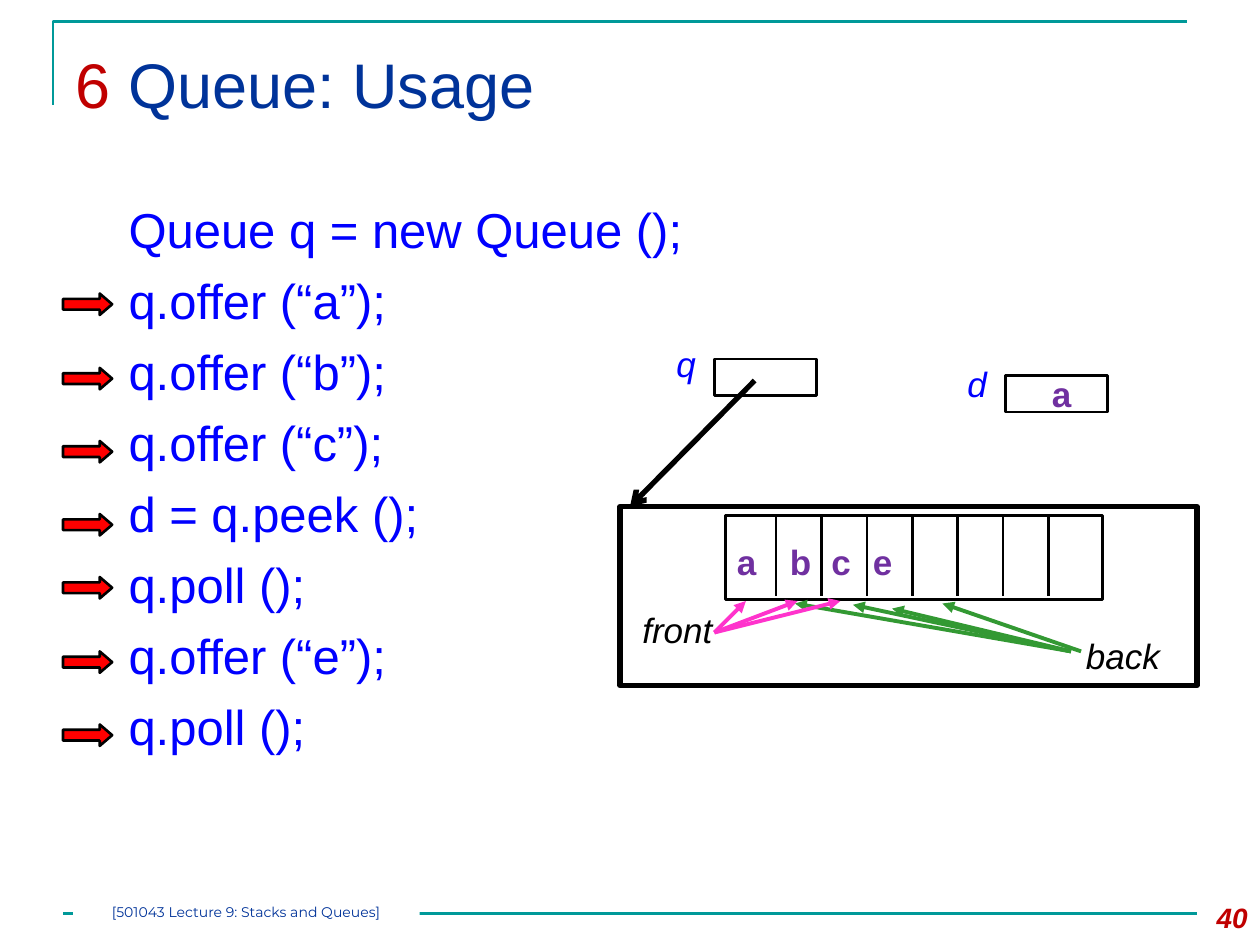
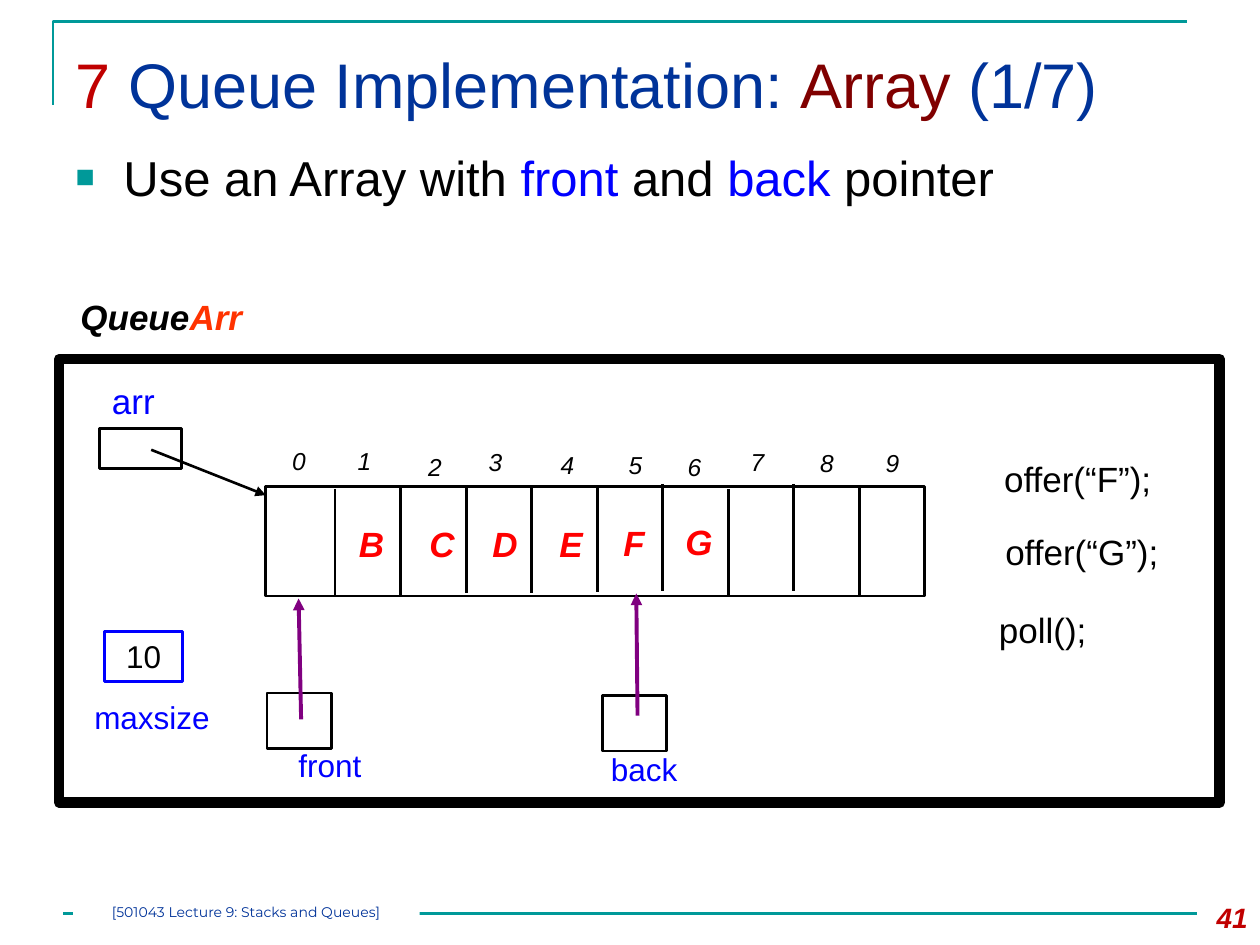
from dataclasses import dataclass
from itertools import chain

from lxml.etree import SubElement as Sub
from pptx import Presentation as Deck
from pptx.dml.color import RGBColor as Rgb
from pptx.enum.shapes import MSO_CONNECTOR as Link, MSO_SHAPE as Kind
from pptx.enum.text import MSO_ANCHOR as Anchor, MSO_AUTO_SIZE as Fit, PP_ALIGN as Align
from pptx.oxml.ns import qn
from pptx.util import Inches, Pt

HUES = {
    "black": "000000", "white": "FFFFFF", "teal": "009999", "navy": "003399",
    "crimson": "C00000", "maroon": "800000", "blue": "0000FF", "red": "FF0000",
    "orange": "FF3300", "violet": "7030A0", "purple": "800080",
    "pink": "FF33CC", "green": "339933",
}
FONT = "Arial"
FOOT = "[501043 Lecture 9: Stacks and Queues]"
Runs = list[tuple[str, str]]


@dataclass
class Label:
    x: float
    y: float
    wide: float
    runs: Runs
    size: int = 20
    bold: bool = False
    slant: bool = False
    high: float = 0.43


@dataclass
class Box:
    x: float
    y: float
    wide: float
    high: float
    fill: str = ""
    line: str = "black"
    width: float = 1.5
    kind: Kind = Kind.RECTANGLE


@dataclass
class Line:
    x1: float
    y1: float
    x2: float
    y2: float
    hue: str = "black"
    width: float = 1.5
    head: str = ""


def tint(name: str) -> Rgb:
    return Rgb.from_string(HUES[name])


def style(run, size: int, hue: str, bold=False, slant=False, font=FONT) -> None:
    run.font.name = font
    run.font.size = Pt(size)
    run.font.bold = bold
    run.font.italic = slant
    run.font.color.rgb = tint(hue)


def write(para, runs: Runs, size: int, bold=False, slant=False) -> None:
    for text, hue in runs:
        run = para.add_run()
        run.text = text
        style(run, size, hue, bold, slant)


def place(shape, x: float, y: float, wide: float, high: float) -> None:
    shape.left, shape.top = Inches(x), Inches(y)
    shape.width, shape.height = Inches(wide), Inches(high)


def draw_label(slide, item: Label):
    shape = slide.shapes.add_textbox(
        Inches(item.x), Inches(item.y), Inches(item.wide), Inches(item.high))
    frame = shape.text_frame
    frame.word_wrap = False
    frame.auto_size = Fit.SHAPE_TO_FIT_TEXT
    write(frame.paragraphs[0], item.runs, item.size, item.bold, item.slant)
    return shape


def draw_box(slide, item: Box):
    shape = slide.shapes.add_shape(
        item.kind, Inches(item.x), Inches(item.y), Inches(item.wide), Inches(item.high))
    shape.shadow.inherit = False
    if item.fill:
        shape.fill.solid()
        shape.fill.fore_color.rgb = tint(item.fill)
    else:
        shape.fill.background()
    if item.line:
        shape.line.color.rgb = tint(item.line)
        shape.line.width = Pt(item.width)
    else:
        shape.line.fill.background()
    return shape


def draw_line(slide, item: Line) -> None:
    shape = slide.shapes.add_connector(
        Link.STRAIGHT, Inches(item.x1), Inches(item.y1), Inches(item.x2), Inches(item.y2))
    shape.line.color.rgb = tint(item.hue)
    shape.line.width = Pt(item.width)
    if item.head:
        Sub(shape.line._get_or_add_ln(), qn("a:tailEnd"), type=item.head)
    Sub(shape._element.spPr, qn("a:effectLst"))


def draw_all(slide, items) -> None:
    tools = {Label: draw_label, Box: draw_box, Line: draw_line}
    for item in items:
        tools[type(item)](slide, item)


def fill_list(shape, rows: list[Runs], mark: bool) -> None:
    frame = shape.text_frame
    frame.auto_size = Fit.NONE
    frame.word_wrap = True
    for index, row in enumerate(rows):
        para = frame.paragraphs[0] if index == 0 else frame.add_paragraph()
        para.space_before = Pt(7)
        write(para, row, 28)
        props = para._p.get_or_add_pPr()
        props.set("marL", str(Inches(0.38)))
        props.set("indent", str(-Inches(0.38)))
        if mark:
            Sub(Sub(props, qn("a:buClr")), qn("a:srgbClr"), val=HUES["teal"])
            Sub(props, qn("a:buSzPct"), val="65000")
            Sub(props, qn("a:buFont"), typeface=FONT)
            Sub(props, qn("a:buChar"), char="■")
        else:
            Sub(props, qn("a:buNone"))


def start(deck, page: int, title: Runs):
    slide = deck.slides.add_slide(deck.slide_layouts[1])
    pen = slide.shapes.build_freeform(Inches(0.42), Inches(0.83), scale=1.0)
    pen.add_line_segments(
        [(Inches(0.42), Inches(0.17)), (Inches(9.42), Inches(0.17))], close=False)
    frame = pen.convert_to_shape()
    frame.shadow.inherit = False
    frame.fill.background()
    frame.line.color.rgb = tint("teal")
    frame.line.width = Pt(1.5)
    draw_line(slide, Line(0.5, 7.25, 9.5, 7.25, "teal"))

    head = slide.shapes.title
    place(head, 0.5, 0.23, 9, 0.86)
    head.text_frame.auto_size = Fit.NONE
    head.text_frame.vertical_anchor = Anchor.MIDDLE
    head.text_frame.paragraphs[0].alignment = Align.LEFT
    write(head.text_frame.paragraphs[0], title, 36)

    count = slide.shapes.add_textbox(Inches(9.33), Inches(7.1), Inches(0.67), Inches(0.4))
    count.text_frame.word_wrap = True
    count.text_frame.text = str(page)
    para = count.text_frame.paragraphs[0]
    para.alignment = Align.RIGHT
    style(para.runs[0], 16, "crimson", True, True)

    foot = draw_box(slide, Box(0.58, 7.17, 2.75, 0.17, "white", ""))
    text = foot.text_frame
    text.margin_left = text.margin_right = text.margin_top = text.margin_bottom = 0
    text.vertical_anchor = Anchor.TOP
    text.text = FOOT
    text.paragraphs[0].alignment = Align.CENTER
    style(text.paragraphs[0].runs[0], 8, "navy", font="Montserrat")
    return slide


def usage(deck) -> None:
    slide = start(deck, 40, [("6 ", "crimson"), ("Queue: Usage", "navy")])
    code = ["Queue q = new Queue ();", "q.offer (“a”);", "q.offer (“b”);",
            "q.offer (“c”);", "d = q.peek ();", "q.poll ();",
            "q.offer (“e”);", "q.poll ();"]
    body = slide.placeholders[1]
    place(body, 0.92, 1.53, 4.75, 4.72)
    fill_list(body, [[(row, "blue")] for row in code], False)

    for y in (2.33, 2.92, 3.5, 4.08, 4.58, 5.17, 5.75):
        mark = draw_box(slide, Box(0.5, y, 0.39, 0.17, "red", kind=Kind.RIGHT_ARROW))
        mark.adjustments[0], mark.adjustments[1] = 0.5, 0.58

    boxes = [Box(4.92, 4.02, 4.58, 1.42, "white", width=3),
             Box(5.67, 2.85, 0.81, 0.29, "white"),
             Box(5.76, 4.09, 2.99, 0.67, "white"),
             Box(7.98, 2.98, 0.81, 0.29)]
    walls = [Line(6.16 + 0.36 * i, 4.09, 6.16 + 0.36 * i, 4.73) for i in range(7)]
    names = [Label(x, y, wide, [(text, hue)], slant=True) for x, y, wide, text, hue in (
        (5.27, 2.67, 0.36, "q", "blue"), (7.58, 2.83, 0.36, "d", "blue"),
        (5, 4.78, 0.76, "front", "black"), (8.52, 4.99, 0.79, "back", "black"))]
    cells = [Label(x, y, 0.36, [(text, "violet")], bold=True) for x, y, text in (
        (5.75, 4.24, "a"), (6.17, 4.24, "b"), (6.5, 4.24, "c"),
        (6.83, 4.24, "e"), (8.25, 2.91, "a"))]
    link = [Line(5.99, 3.02, 5, 4.02, width=3, head="arrow")]
    backs = [Line(x1, 5.17, x2, y2, "green", 2.25, "triangle") for x1, x2, y2 in (
        (8.5, 6.31, 4.79), (8.5, 6.77, 4.8), (8.5, 7.08, 4.83), (8.58, 7.48, 4.79))]
    fronts = [Line(5.67, 5.02, x, 4.77, "pink", 2.25, "triangle")
              for x in (5.92, 6.33, 6.67)]
    draw_all(slide, chain(boxes, walls, link, names, cells, backs, fronts))


def array(deck) -> None:
    slide = start(deck, 41, [("7 ", "crimson"), ("Queue Implementation: ", "navy"),
                             ("Array ", "maroon"), ("(1/7)", "navy")])
    body = slide.placeholders[1]
    place(body, 0.5, 1.12, 9, 0.8)
    fill_list(body, [[("Use an Array with ", "black"), ("front", "blue"),
                      (" and ", "black"), ("back", "blue"), (" pointer", "black")]], True)

    boxes = [Box(0.47, 2.85, 9.21, 3.52, width=6), Box(0.79, 3.4, 0.65, 0.32),
             Box(2.11, 3.86, 5.23, 0.87), Box(2.12, 5.5, 0.51, 0.44, "white"),
             Box(4.78, 5.52, 0.51, 0.44, "white")]
    tops = (3.88, 3.87, 3.86, 3.86, 3.85, 3.84, 3.88, 3.84, 3.87)
    walls = [Line(2.66 + 0.52 * i, y, 2.66 + 0.52 * i, y + 0.85)
             for i, y in enumerate(tops)]
    spots = ((2.22, 3.49), (2.74, 3.49), (3.3, 3.54), (3.78, 3.5), (4.35, 3.52),
             (4.89, 3.52), (5.36, 3.54), (5.86, 3.5), (6.41, 3.51), (6.93, 3.51))
    marks = [Label(x, y, 0.31, [(str(i), "black")], 14, slant=True, high=0.33)
             for i, (x, y) in enumerate(spots)]
    cells = [Label(x, y, wide, [(text, "red")], bold=True, slant=True)
             for x, y, wide, text in (
                 (2.75, 4.1, 0.4, "B"), (3.31, 4.1, 0.4, "C"), (3.81, 4.1, 0.4, "D"),
                 (4.34, 4.1, 0.39, "E"), (4.85, 4.09, 0.37, "F"), (5.34, 4.08, 0.42, "G"))]
    calls = [Label(x, y, wide, [(text, "black")], high=0.44) for x, y, wide, text in (
        (7.87, 3.58, 1.38, "offer(“F”);"), (7.88, 4.16, 1.42, "offer(“G”);"),
        (7.83, 4.78, 0.9, "poll();"))]
    names = [Label(x, y, wide, [(text, "blue")], 18, high=0.4) for x, y, wide, text in (
        (0.65, 5.49, 1.13, "maxsize"), (2.27, 5.87, 0.71, "front"),
        (4.75, 5.9, 0.73, "back"))]
    heads = [Label(0.54, 2.3, 1.5, [("Queue", "black"), ("Arr", "orange")],
                   bold=True, slant=True, high=0.44),
             Label(0.79, 2.96, 0.54, [("arr", "blue")])]
    links = [Line(1.2, 3.57, 2.11, 3.93, head="triangle"),
             Line(2.39, 5.71, 2.37, 4.75, "purple", 2.25, "triangle"),
             Line(5.06, 5.68, 5.05, 4.71, "purple", 2.25, "triangle")]
    draw_all(slide, chain(boxes, walls, marks, cells, calls, names, heads, links))

    limit = draw_box(slide, Box(0.83, 5.01, 0.62, 0.4, line="blue"))
    limit.text_frame.text = "10"
    limit.text_frame.paragraphs[0].alignment = Align.CENTER
    style(limit.text_frame.paragraphs[0].runs[0], 18, "black")


def main() -> None:
    deck = Deck()
    deck.slide_width, deck.slide_height = Inches(10), Inches(7.5)
    usage(deck)
    array(deck)
    deck.save("out.pptx")


main()
